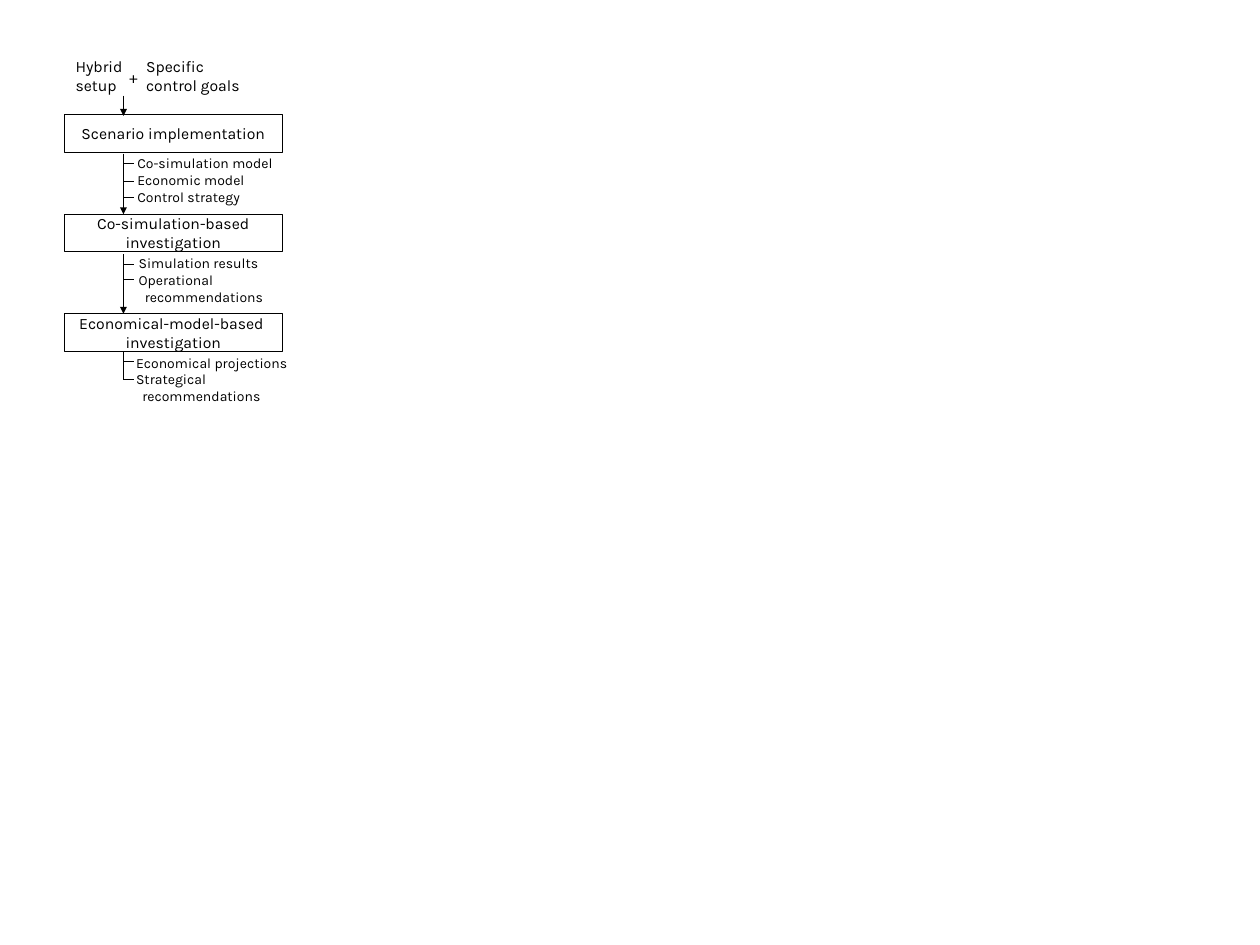
"""Build a flow chart of three study stages with their inputs and outcomes."""
from lxml import etree
from pptx import Presentation
from pptx.dml.color import RGBColor
from pptx.enum.shapes import MSO_CONNECTOR, MSO_SHAPE
from pptx.enum.text import MSO_ANCHOR, MSO_AUTO_SIZE, PP_ALIGN
from pptx.oxml.ns import qn
from pptx.util import Inches, Pt

RECTANGLE, STRAIGHT = MSO_SHAPE.RECTANGLE, MSO_CONNECTOR.STRAIGHT
MIDDLE, GROW = MSO_ANCHOR.MIDDLE, MSO_AUTO_SIZE.SHAPE_TO_FIT_TEXT
LEFT, CENTER = PP_ALIGN.LEFT, PP_ALIGN.CENTER
BLACK, WHITE = map(RGBColor.from_string, ("000000", "FFFFFF"))
STEM, TICK, HANGING = 0.98, 0.08, 0.05
FRAME = {"margin_left": 0, "margin_right": 0, "margin_top": 0, "margin_bottom": 0,
         "word_wrap": True, "vertical_anchor": MIDDLE}
ARROWHEAD = {"type": "triangle", "w": "sm", "len": "sm"}

deck = Presentation()
deck.slide_width, deck.slide_height = Inches(10), Inches(7.5)
page = deck.slides.add_slide(deck.slide_layouts[6])


def write(box, lines, size, align=LEFT):
    frame = box.text_frame
    for name, value in FRAME.items():
        setattr(frame, name, value)
    for number, line in enumerate(lines):
        para = frame.paragraphs[0] if number == 0 else frame.add_paragraph()
        para.alignment = align
        span = para.add_run()
        span.text = line
        for name, value in {"name": "Karla", "size": Pt(size)}.items():
            setattr(span.font, name, value)
        span.font.color.rgb = BLACK
    return frame


def connect(start, end, arrow=False):
    line = page.shapes.add_connector(STRAIGHT, *map(Inches, start + end))
    line.line.color.rgb = BLACK
    line.line.width = Pt(0.75)
    properties = line._element.spPr
    if arrow:
        etree.SubElement(properties.find(qn("a:ln")), qn("a:tailEnd"), ARROWHEAD)
    etree.SubElement(properties, qn("a:effectLst"))


stages = [
    (0.91, ["Scenario implementation"]),
    (1.7, ["Co-simulation-based", "investigation"]),
    (2.49, ["Economical-model-based ", "investigation"]),
]
for top, lines in stages:
    stage = page.shapes.add_shape(RECTANGLE, *map(Inches, (0.51, top, 1.73, 0.3)))
    stage.shadow.inherit = False
    stage.fill.solid()
    stage.fill.fore_color.rgb = WHITE
    stage.line.color.rgb = BLACK
    stage.line.width = Pt(0.5)
    write(stage, lines, 9, CENTER)

labels = [
    ((0.6, 0.45, 0.39, 0.3), ["Hybrid setup"], 9, LEFT),
    ((1.16, 0.45, 0.84, 0.3), ["Specific", "control goals"], 9, LEFT),
    ((0.98, 0.57, 0.16, 0.12), ["+"], 9, CENTER),
    ((1.09, 1.23, 1.15, 0.4), ["Co-simulation model", "Economic model", "Control strategy"], 8, LEFT),
    ((1.1, 2.02, 1.15, 0.4), ["Simulation results", "Operational", "recommendations"], 8, LEFT),
    ((1.08, 2.81, 1.24, 0.4), ["Economical projections", "Strategical", "recommendations"], 8, LEFT),
]
for place, lines, size, align in labels:
    label = page.shapes.add_textbox(*map(Inches, place))
    frame = write(label, lines, size, align)
    frame.auto_size = GROW
    for para in frame.paragraphs:
        if para.text == "+":
            para.line_spacing = Pt(8)
        if para.text == "recommendations":
            para._p.get_or_add_pPr().set("marL", str(Inches(HANGING)))

stems = [
    (0.76, 0.92, True, []),
    (1.22, 1.7, True, [1.3, 1.44, 1.57]),
    (2.02, 2.49, True, [2.1, 2.22]),
    (2.79, 3.02, False, [2.87, 3.01]),
]
for top, bottom, arrow, ticks in stems:
    connect((STEM, top), (STEM, bottom), arrow)
    for level in ticks:
        connect((STEM, level), (STEM + TICK, level))

deck.save("out.pptx")
